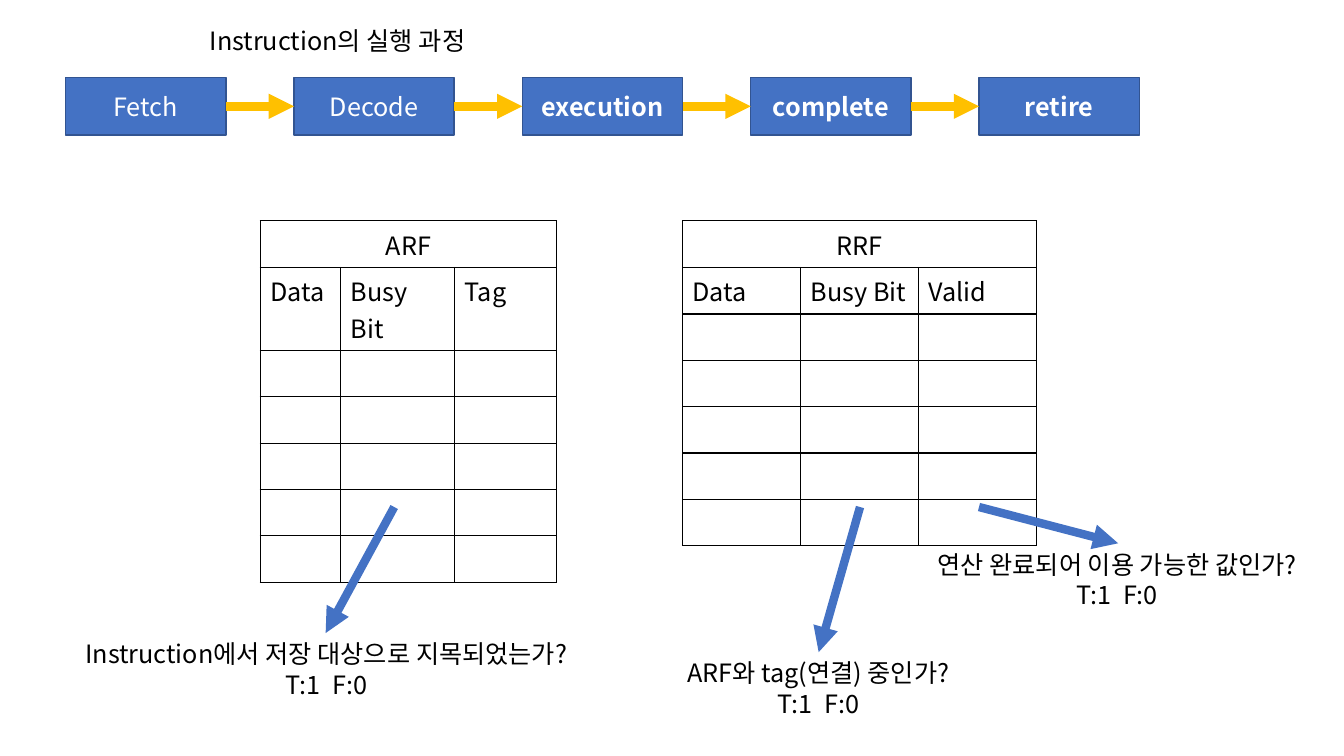
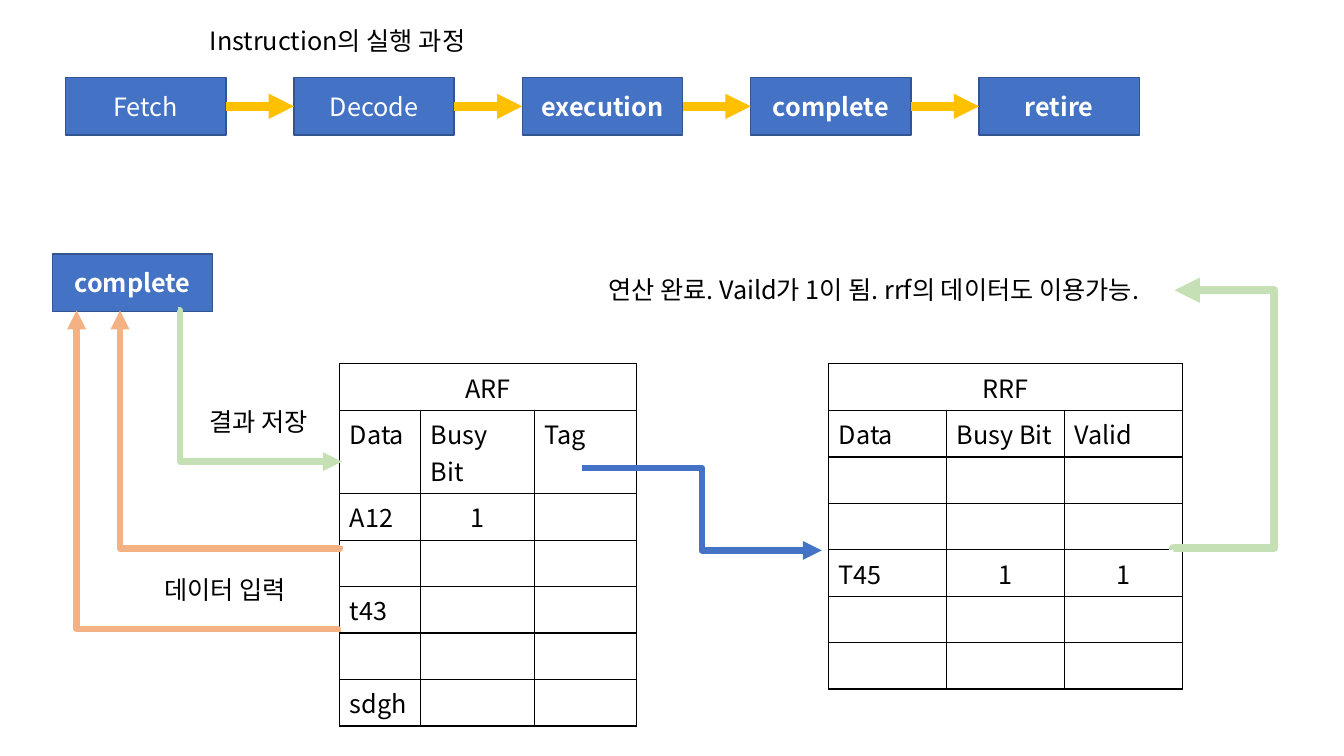
import pptx
import pptx.dml.color
import pptx.enum.shapes
import pptx.enum.text
import pptx.oxml
import pptx.oxml.ns
import pptx.util

Inches = pptx.util.Inches
Pt = pptx.util.Pt
RGBColor = pptx.dml.color.RGBColor
Align = pptx.enum.text.PP_ALIGN
Anchor = pptx.enum.text.MSO_ANCHOR
Connector = pptx.enum.shapes.MSO_CONNECTOR
qn = pptx.oxml.ns.qn

BLACK = RGBColor(0x00, 0x00, 0x00)
WHITE = RGBColor(0xFF, 0xFF, 0xFF)
BLUE = RGBColor(0x44, 0x72, 0xC4)
DARK_BLUE = RGBColor(0x32, 0x54, 0x91)
GOLD = RGBColor(0xFF, 0xC0, 0x00)
GREEN = RGBColor(0xC5, 0xE0, 0xB4)
ORANGE = RGBColor(0xF4, 0xB1, 0x83)
FONT = "Noto Sans CJK KR"
DRAWING = 'xmlns:a="http://schemas.openxmlformats.org/drawingml/2006/main"'


def write_text(frame, text, color=BLACK, bold=False, align=Align.CENTER, spacing=None):
    frame.text = text
    for paragraph in frame.paragraphs:
        paragraph.alignment = align
        if spacing:
            paragraph.line_spacing = spacing
        for run in paragraph.runs:
            run.font.name = FONT
            run.font.size = Pt(18)
            run.font.bold = bold
            run.font.color.rgb = color
            east_asian = pptx.oxml.parse_xml(f'<a:ea {DRAWING} typeface="{FONT}"/>')
            run.font._element.find(qn("a:latin")).addnext(east_asian)


def add_arrow(slide, start, end, color, weight=6, preset="line", adjust=(), turn=0, flip=""):
    """Draw an arrow; a turned elbow has its frame rotated about its middle."""
    kind = Connector.STRAIGHT if preset == "line" else Connector.ELBOW
    (x1, y1), (x2, y2) = start, end
    arrow = slide.shapes.add_connector(kind, Inches(x1), Inches(y1), Inches(x2), Inches(y2))
    arrow.line.color.rgb = color
    arrow.line.width = Pt(weight)
    arrow.line._get_or_add_ln().append(
        pptx.oxml.parse_xml(f'<a:tailEnd {DRAWING} type="triangle"/>'))
    properties = arrow._element.spPr
    properties.append(pptx.oxml.parse_xml(f"<a:effectLst {DRAWING}/>"))
    geometry = properties.find(qn("a:prstGeom"))
    geometry.set("prst", preset)
    for number, value in enumerate(adjust, 1):
        geometry.find(qn("a:avLst")).append(pptx.oxml.parse_xml(
            f'<a:gd {DRAWING} name="adj{number}" fmla="val {round(value * 100000)}"/>'))
    if turn:
        width, height = abs(y2 - y1), abs(x2 - x1)
        arrow.left, arrow.top = Inches((x1 + x2 - width) / 2), Inches((y1 + y2 - height) / 2)
        arrow.width, arrow.height = Inches(width), Inches(height)
        frame = properties.find(qn("a:xfrm"))
        frame.set("rot", str(turn * 60000))
        frame.set("flipH", str(int("h" in flip)))
        frame.set("flipV", str(int("v" in flip)))
    return arrow


# Content of the slides
STAGES = ["Fetch", "Decode", "execution", "complete", "retire"]
STAGE_LEFT, STAGE_TOP, STAGE_PITCH = 0.65, 0.77, 2.265
ROW_HEIGHT, ROW_COUNT = 0.46, 7
ARF = {"name": "ARF", "heads": ["Data", "Busy Bit", "Tag"],
       "widths": [0.8, 1.13, 1.01], "head_height": 0.82}
RRF = {"name": "RRF", "heads": ["Data", "Busy Bit", "Valid"],
       "widths": [1.17] * 3, "head_height": ROW_HEIGHT}

SLIDES = [
    {
        # register file, left, top, values by (row, column)
        "tables": [(ARF, 2.58, 2.19, {}), (RRF, 6.77, 2.19, {})],
        "boxes": [],
        "labels": [
            ("Instruction에서 저장 대상으로 지목되었는가?\nT:1  F:0", 0.39, 6.28, 5.69, 0.71),
            ("ARF와 tag(연결) 중인가?\nT:1  F:0", 6.47, 6.47, 3.29, 0.71),
            ("연산 완료되어 이용 가능한 값인가?\nT:1  F:0", 9.03, 5.39, 4.1, 0.71),
        ],
        "arrows": [
            {"start": (3.91, 5.03), "end": (3.23, 6.28), "color": BLUE},
            {"start": (8.53, 5.03), "end": (8.12, 6.47), "color": BLUE},
            {"start": (9.71, 5.03), "end": (11.09, 5.39), "color": BLUE},
        ],
    },
    {
        "tables": [
            (ARF, 3.37, 3.61, {(2, 0): "A12", (2, 1): "1", (4, 0): "t43", (6, 0): "sdgh"}),
            (RRF, 8.22, 3.61, {(4, 0): "T45", (4, 1): "1", (4, 2): "1"}),
        ],
        "boxes": [("complete", 0.52, 2.52)],
        "labels": [
            ("결과 저장", 1.87, 3.98, 1.39, 0.4),
            ("데이터 입력", 1.45, 5.64, 1.56, 0.4),
            ("연산 완료. Vaild가 1이 됨. rrf의 데이터도 이용가능.", 5.68, 2.67, 5.97, 0.4),
        ],
        "arrows": [
            {"start": (1.77, 3.08), "end": (3.39, 4.58), "color": GREEN, "weight": 4.5,
             "preset": "bentConnector3", "adjust": [0.01]},
            {"start": (5.77, 4.64), "end": (8.15, 5.46), "color": BLUE, "weight": 4.5,
             "preset": "bentConnector3", "adjust": [0.5]},
            {"start": (3.37, 5.42), "end": (1.19, 3.08), "color": ORANGE, "weight": 4.5,
             "preset": "bentConnector3", "adjust": [-0.01], "turn": 270, "flip": "v"},
            {"start": (3.35, 6.27), "end": (0.76, 3.08), "color": ORANGE, "weight": 4.5,
             "preset": "bentConnector3", "adjust": [0.01], "turn": 270, "flip": "v"},
            {"start": (11.64, 5.46), "end": (11.65, 2.88), "color": GREEN,
             "preset": "bentConnector4", "adjust": [0.01, 101], "turn": 90, "flip": "hv"},
        ],
    },
]

presentation = pptx.Presentation()
presentation.slide_width = Inches(13.33)
presentation.slide_height = Inches(7.5)

for content in SLIDES:
    slide = presentation.slides.add_slide(presentation.slide_layouts[5])

    # Title
    title = slide.shapes.title
    title.left, title.top = Inches(1.98), Inches(0.2)
    title.width, title.height = Inches(3.27), Inches(0.4)
    title.text_frame.auto_size = pptx.enum.text.MSO_AUTO_SIZE.NONE
    title.text_frame.vertical_anchor = Anchor.TOP
    write_text(title.text_frame, "Instruction의 실행 과정", align=Align.LEFT, spacing=Pt(22))

    # Register files
    for register, left, top, values in content["tables"]:
        widths = register["widths"]
        table = slide.shapes.add_table(
            ROW_COUNT, len(widths), Inches(left), Inches(top),
            Inches(sum(widths)), Inches(ROW_HEIGHT * ROW_COUNT)).table
        table.first_row = table.horz_banding = False
        for column, width in zip(table.columns, widths):
            column.width = Inches(width)
        for row in table.rows:
            row.height = Inches(ROW_HEIGHT)
        table.rows[1].height = Inches(register["head_height"])
        for cell in table.iter_cells():
            cell.fill.background()
            for position, side in enumerate("LRTB"):
                cell._tc.get_or_add_tcPr().insert(position, pptx.oxml.parse_xml(
                    f'<a:ln{side} {DRAWING} w="12700"><a:solidFill>'
                    f'<a:srgbClr val="{BLACK}"/></a:solidFill></a:ln{side}>'))
        table.cell(0, 0).merge(table.cell(0, len(widths) - 1))
        write_text(table.cell(0, 0).text_frame, register["name"])
        for number, head in enumerate(register["heads"]):
            write_text(table.cell(1, number).text_frame, head, align=Align.LEFT)
        for (row, column), value in values.items():
            write_text(table.cell(row, column).text_frame, value,
                       align=Align.CENTER if column else Align.LEFT)

    # Stage boxes
    stages = [(name, STAGE_LEFT + STAGE_PITCH * number, STAGE_TOP)
              for number, name in enumerate(STAGES)]
    boxes = []
    for name, left, top in stages + content["boxes"]:
        box = slide.shapes.add_shape(
            pptx.enum.shapes.MSO_SHAPE.RECTANGLE,
            Inches(left), Inches(top), Inches(1.59), Inches(0.57))
        box.shadow.inherit = False
        box.fill.solid()
        box.fill.fore_color.rgb = BLUE
        box.line.color.rgb = DARK_BLUE
        box.line.width = Pt(1)
        box.text_frame.vertical_anchor = Anchor.MIDDLE
        write_text(box.text_frame, name, color=WHITE, bold=name not in STAGES[:2])
        boxes.append(box)

    # Arrows between the stages
    pipeline = boxes[:len(STAGES)]
    for before, after in zip(pipeline, pipeline[1:]):
        arrow = add_arrow(slide, (0, 0), (1, 0), GOLD)
        arrow.begin_connect(before, 3)
        arrow.end_connect(after, 1)

    # Explanations and their arrows
    for text, left, top, width, height in content["labels"]:
        label = slide.shapes.add_textbox(
            Inches(left), Inches(top), Inches(width), Inches(height))
        label.text_frame.word_wrap = False
        write_text(label.text_frame, text, spacing=Pt(22))
    for arrow_format in content["arrows"]:
        add_arrow(slide, **arrow_format)

presentation.save("out.pptx")
